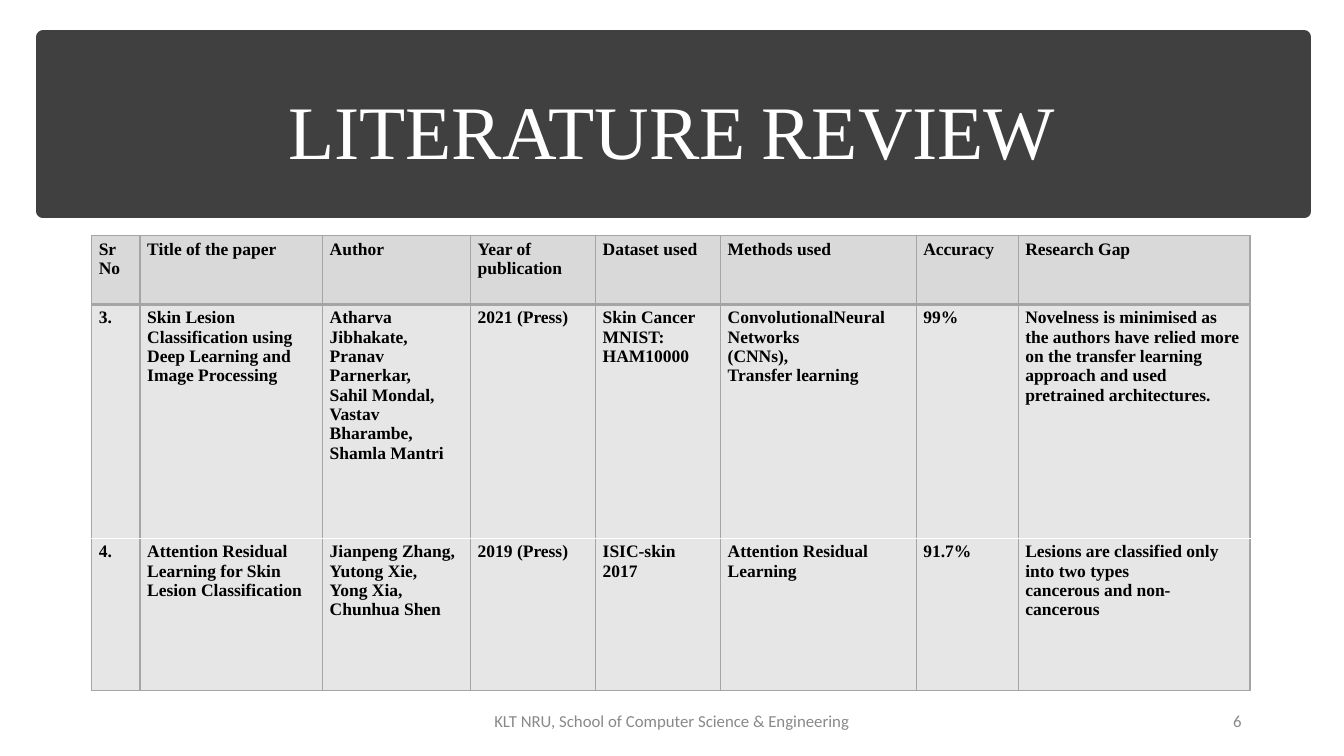
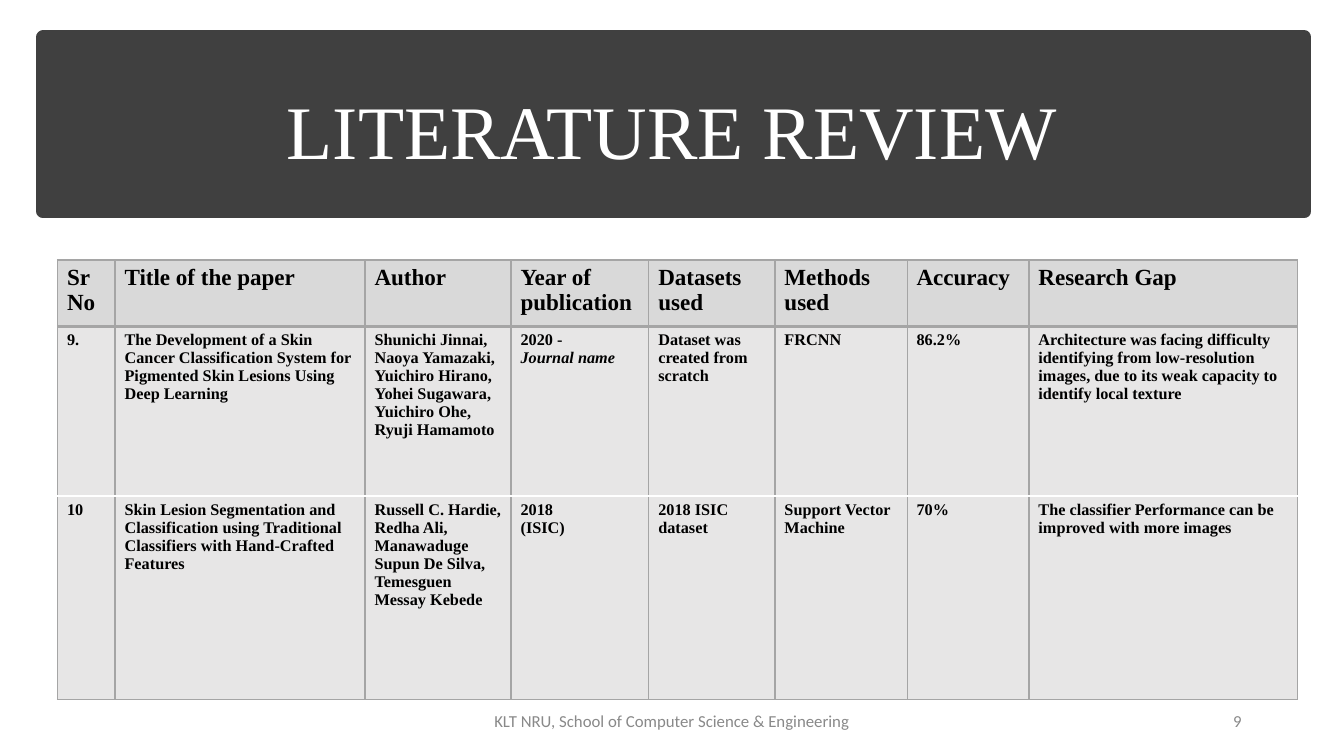
import pptx
import pptx.util
import pptx.dml.color
import pptx.enum.shapes
import pptx.enum.text
import pptx.oxml.ns
import lxml.etree

Cm = pptx.util.Cm
Pt = pptx.util.Pt
ALIGN = pptx.enum.text.PP_ALIGN
MIDDLE = pptx.enum.text.MSO_ANCHOR.MIDDLE

COLORS = {
    "band": "404040",
    "title": "FFFFFF",
    "footer": "898989",
    "text": "000000",
    "header": "D9D9D9",
    "body": "E7E6E6",
    "border": "A5A5A5",
}
SERIF, SANS = "Times New Roman", "Calibri"
FOOTER = "KLT NRU, School of Computer Science & Engineering"
ITALIC = {"Journal name"}

SLIDES = [
    {
        "number": "6",
        "title": [("LITERATURE", 54), (" ", 44), ("REVIEW", 54)],
        "corner": (2.31, 5.94),
        "columns": [1.22, 4.6, 3.73, 3.15, 3.15, 4.93, 2.57, 5.84],
        "heights": [1.73, 5.89, 3.84],
        "margins": (0.18, 0.1),
        "sizes": (12.5, 12.5),
        "rows": [
            ["Sr No", "Title of the paper", "Author", "Year of publication",
             "Dataset used", "Methods used", "Accuracy", "Research Gap"],
            ["3.",
             "Skin Lesion Classification using Deep Learning and Image Processing",
             "Atharva Jibhakate,\nPranav Parnerkar,\nSahil Mondal,\nVastav Bharambe,\nShamla Mantri",
             "2021 (Press)",
             "Skin Cancer MNIST: HAM10000",
             "ConvolutionalNeural\nNetworks\n(CNNs),\nTransfer learning",
             "99%",
             "Novelness is minimised as the authors have relied more on the transfer "
             "learning approach and used pretrained architectures."],
            ["4.",
             "Attention Residual Learning for Skin Lesion Classification",
             "Jianpeng Zhang,\nYutong Xie,\nYong Xia,\nChunhua Shen",
             "2019 (Press)",
             "ISIC-skin 2017",
             "Attention Residual Learning",
             "91.7%",
             "Lesions are classified only into two types\ncancerous and non-cancerous"],
        ],
    },
    {
        "number": "9",
        "title": [("LITERATURE REVIEW", 54)],
        "corner": (1.45, 6.55),
        "columns": [1.45, 6.3, 3.68, 3.47, 3.18, 3.33, 3.07, 6.76],
        "heights": [1.68, 4.27, 5.13],
        "margins": (0.24, 0.12),
        "sizes": (16.5, 11.6),
        "rows": [
            ["Sr No", "Title of the paper", "Author", "Year of publication",
             "Datasets used", "Methods used", "Accuracy", "Research Gap"],
            ["9.",
             "The Development of a Skin Cancer Classification System for Pigmented "
             "Skin Lesions Using Deep Learning",
             "Shunichi Jinnai,\nNaoya Yamazaki,\nYuichiro Hirano,\nYohei Sugawara,\n"
             "Yuichiro Ohe,\nRyuji Hamamoto",
             "2020 -\nJournal name",
             "Dataset was created from scratch",
             "FRCNN",
             "86.2%",
             "Architecture was facing difficulty identifying from low-resolution images, "
             "due to its weak capacity to identify local texture"],
            ["10",
             "Skin Lesion Segmentation and Classification using Traditional Classifiers "
             "with Hand-Crafted Features",
             "Russell C. Hardie,\nRedha Ali,\nManawaduge Supun De Silva,\nTemesguen Messay Kebede",
             "2018\n(ISIC)",
             "2018 ISIC dataset",
             "Support Vector Machine",
             "70%",
             "The classifier Performance can be improved with more images"],
        ],
    },
]


def rgb(name):
    return pptx.dml.color.RGBColor.from_string(COLORS[name])


def add_span(para, text, size, font, color, bold=False):
    span = para.add_run()
    span.text = text
    span.font.size = Pt(size)
    span.font.name = font
    span.font.color.rgb = rgb(color)
    span.font.bold = bold
    span.font.italic = text in ITALIC


def add_text(page, place, spans, font, color, align, after=0, top=0.13):
    box = page.shapes.add_textbox(*map(Cm, place))
    frame = box.text_frame
    frame.word_wrap = True
    frame.vertical_anchor = MIDDLE
    frame.margin_top = Cm(top)
    para = frame.paragraphs[0]
    para.alignment = align
    para.space_after = Pt(after)
    for text, size in spans:
        add_span(para, text, size, font, color)


def add_frame(page, content):
    band = page.shapes.add_shape(
        pptx.enum.shapes.MSO_SHAPE.RECTANGLE, Cm(1.09), Cm(0.94), Cm(31.78), Cm(4.39))
    band.shadow.inherit = False
    band.fill.solid()
    band.fill.fore_color.rgb = rgb("band")
    band.line.color.rgb = rgb("band")
    band.line.width = Pt(10)
    add_text(page, (2.33, 1.3, 29.21, 3.68), content["title"], SERIF, "title",
             ALIGN.CENTER, top=0.38)
    add_text(page, (11.22, 17.66, 11.43, 1.01), [(FOOTER, 12)], SANS, "footer",
             ALIGN.CENTER, after=6)
    add_text(page, (23.92, 17.66, 7.62, 1.01), [(content["number"], 12)], SANS, "footer",
             ALIGN.RIGHT, after=6)


def set_borders(cell, widths):
    properties = cell._tc.get_or_add_tcPr()
    for index, (side, width) in enumerate(widths.items()):
        line = lxml.etree.Element(pptx.oxml.ns.qn("a:ln" + side), w=str(Pt(width)))
        fill = lxml.etree.SubElement(line, pptx.oxml.ns.qn("a:solidFill"))
        lxml.etree.SubElement(fill, pptx.oxml.ns.qn("a:srgbClr"), val=COLORS["border"])
        properties.insert(index, line)


def fill_cell(cell, text, is_header, size, margins):
    cell.fill.solid()
    cell.fill.fore_color.rgb = rgb("header" if is_header else "body")
    cell.margin_left = cell.margin_right = Cm(margins[0])
    cell.margin_top = cell.margin_bottom = Cm(margins[1])
    frame = cell.text_frame
    for index, line in enumerate(text.split("\n")):
        para = frame.add_paragraph() if index else frame.paragraphs[0]
        add_span(para, line, size, SERIF, "text", bold=True)
    set_borders(cell, {"L": 1, "R": 1, "T": 1, "B": 2} if is_header
                else {"L": 1, "R": 1, "B": 1})


def add_papers(page, content):
    columns, heights = content["columns"], content["heights"]
    table = page.shapes.add_table(
        len(heights), len(columns), *map(Cm, content["corner"]),
        Cm(sum(columns)), Cm(sum(heights))).table
    table.horz_banding = False
    for column, width in zip(table.columns, columns):
        column.width = Cm(width)
    for row, height in zip(table.rows, heights):
        row.height = Cm(height)
    for r, texts in enumerate(content["rows"]):
        for c, text in enumerate(texts):
            fill_cell(table.cell(r, c), text, r == 0,
                      content["sizes"][min(r, 1)], content["margins"])


def main():
    deck = pptx.Presentation()
    deck.slide_width, deck.slide_height = Cm(33.87), Cm(19.05)
    for content in SLIDES:
        page = deck.slides.add_slide(deck.slide_layouts[6])
        add_frame(page, content)
        add_papers(page, content)
    deck.save("out.pptx")


if __name__ == "__main__":
    main()
